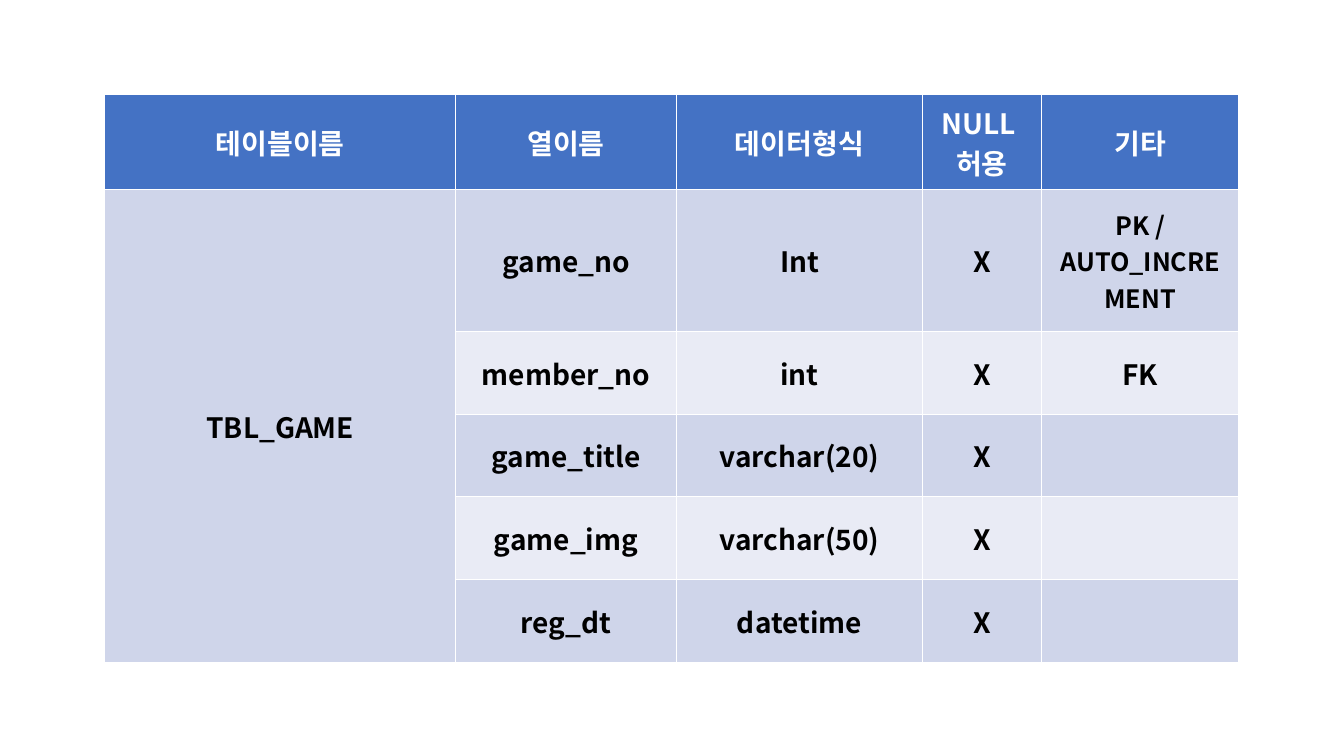
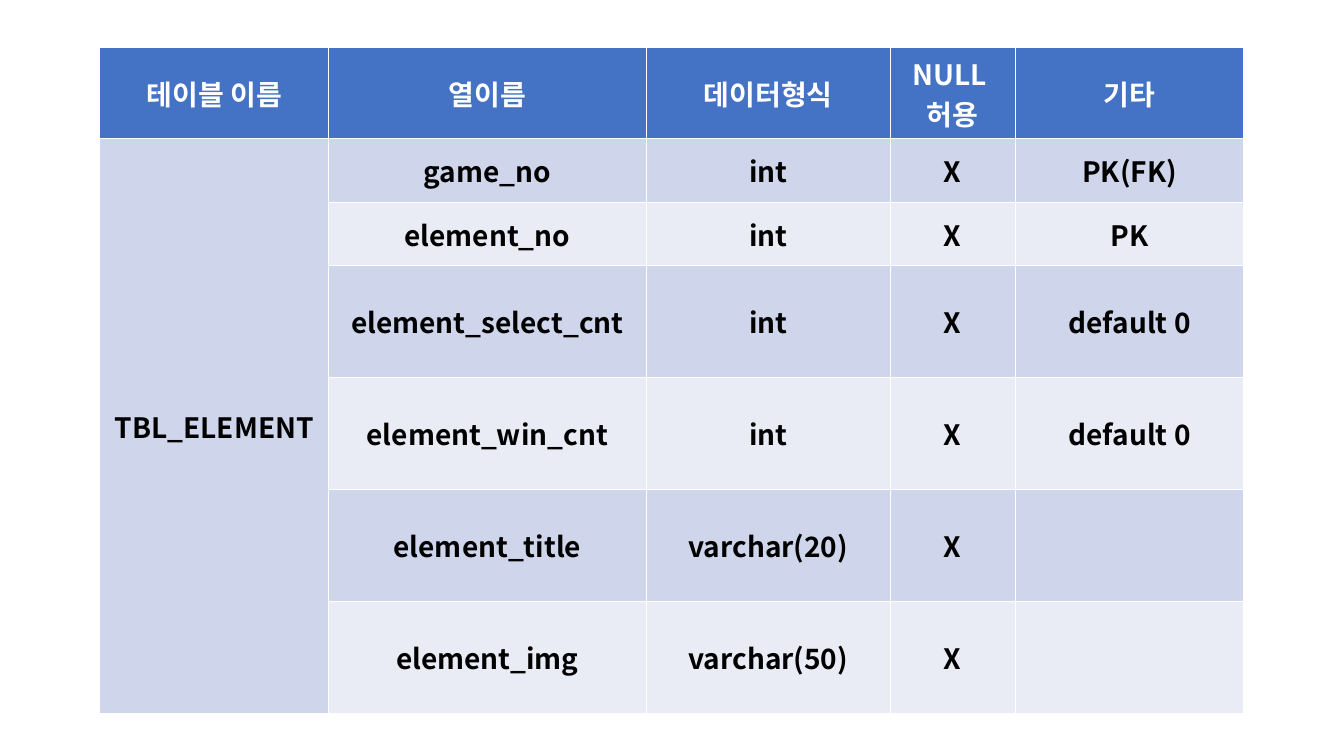
from dataclasses import dataclass

from lxml import etree
from pptx import Presentation
from pptx import util as u
from pptx.dml.color import RGBColor
from pptx.enum import text
from pptx.oxml.ns import qn


@dataclass(frozen=True)
class Theme:
    font: str = "Noto Sans CJK KR"
    header_fill: str = "4472C4"
    header_text: str = "FFFFFF"
    body_text: str = "000000"
    bands: tuple = ("CFD5EA", "E9EBF5")
    size: int = 20
    small: int = 18


class SchemaDeck:
    def __init__(self, theme):
        self.theme = theme
        self.deck = Presentation()
        self.deck.slide_width = u.Inches(13.33)
        self.deck.slide_height = u.Inches(7.5)
        self.slide = None

    def add_slide(self):
        self.slide = self.deck.slides.add_slide(self.deck.slide_layouts[6])

    def fill_cell(self, cell, words, fill, color, size):
        cell.fill.solid()
        cell.fill.fore_color.rgb = RGBColor.from_string(fill)
        cell.vertical_anchor = text.MSO_ANCHOR.MIDDLE
        cell.text = words
        para = cell.text_frame.paragraphs[0]
        para.alignment = text.PP_ALIGN.CENTER
        font = para.font
        font.size = u.Pt(size)
        font.bold = True
        font.color.rgb = RGBColor.from_string(color)
        font.name = self.theme.font
        properties = para._p.pPr.find(qn("a:defRPr"))
        etree.SubElement(properties, qn("a:ea"), typeface=self.theme.font)

    def add_schema(self, left, top, widths, heights, headings, name, fields):
        theme = self.theme
        frame = self.slide.shapes.add_table(
            len(heights), len(widths), u.Inches(left), u.Inches(top),
            u.Inches(sum(widths)), u.Inches(sum(heights)))
        table = frame.table
        for column, width in zip(table.columns, widths):
            column.width = u.Inches(width)
        for row, height in zip(table.rows, heights):
            row.height = u.Inches(height)
        for column, heading in enumerate(headings):
            self.fill_cell(table.cell(0, column), heading,
                           theme.header_fill, theme.header_text, theme.size)
        name_cell = table.cell(1, 0)
        name_cell.merge(table.cell(len(fields), 0))
        self.fill_cell(name_cell, name, theme.bands[0], theme.body_text, theme.size)
        for row, (field, kind, note) in enumerate(fields, 1):
            band = theme.bands[(row - 1) % 2]
            for column, words in enumerate((field, kind, "X", note), 1):
                size = theme.small if "AUTO_INCREMENT" in words else theme.size
                self.fill_cell(table.cell(row, column), words, band,
                               theme.body_text, size)

    def save(self):
        self.deck.save("out.pptx")


def main():
    schema = SchemaDeck(Theme())
    headings = ["열이름", "데이터형식", "NULL \v허용", "기타"]

    schema.add_slide()
    schema.add_schema(
        1.04, 0.94, [3.48, 2.19, 2.44, 1.18, 1.96], [0.94, 1.41] + [0.82] * 4,
        ["테이블이름"] + headings, "TBL_GAME",
        [("game_no", "Int", "PK / AUTO_INCREMENT"),
         ("member_no", "int", "FK"),
         ("game_title", "varchar(20)", ""),
         ("game_img", "varchar(50)", ""),
         ("reg_dt", "datetime", "")])

    schema.add_slide()
    schema.add_schema(
        0.99, 0.47, [2.27, 3.15, 2.42, 1.24, 2.27],
        [0.89] + [0.63] * 2 + [1.11] * 4,
        ["테이블 이름"] + headings, "TBL_ELEMENT",
        [("game_no", "int", "PK(FK)"),
         ("element_no", "int", "PK"),
         ("element_select_cnt", "int", "default 0"),
         ("element_win_cnt", "int", "default 0"),
         ("element_title", "varchar(20)", ""),
         ("element_img", "varchar(50)", "")])

    schema.save()


if __name__ == "__main__":
    main()
